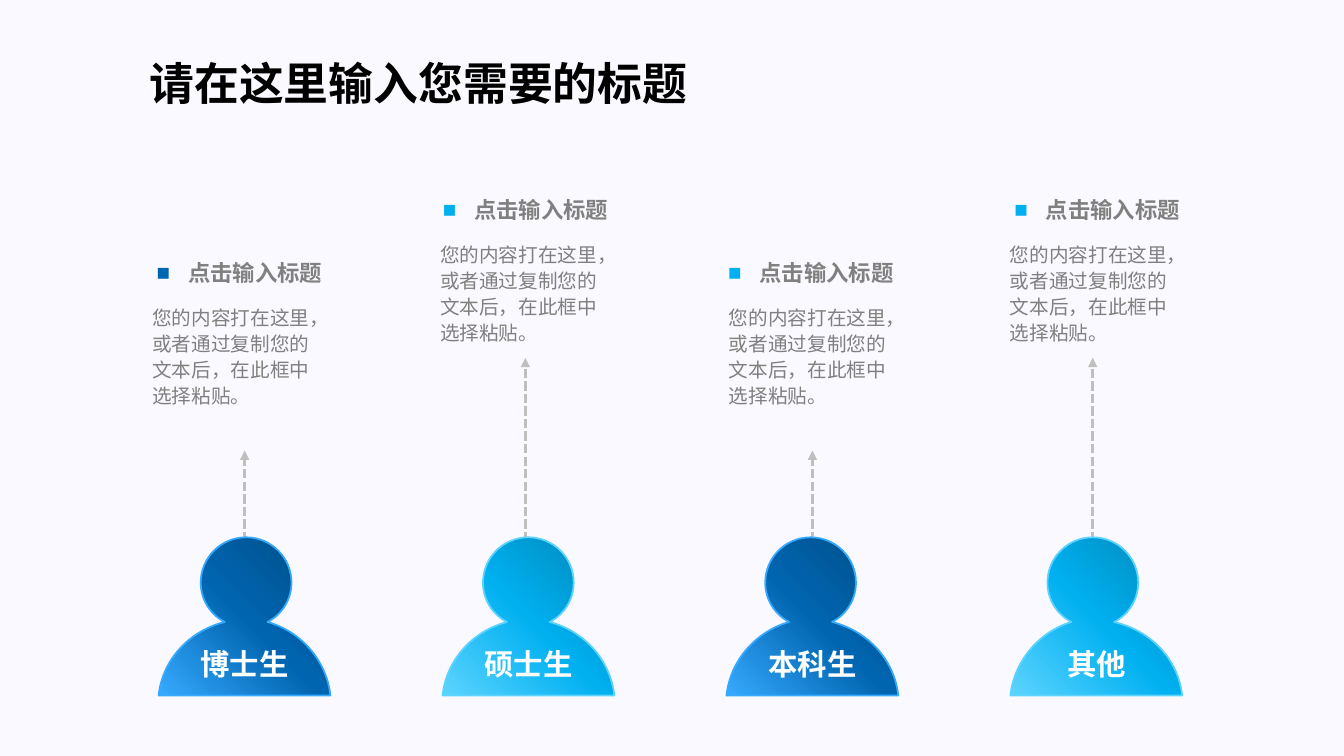
from lxml import etree
from pptx import Presentation
from pptx.dml.color import RGBColor
from pptx.enum.dml import MSO_LINE
from pptx.enum.shapes import MSO_CONNECTOR
from pptx.enum.text import MSO_ANCHOR as Anchor, PP_ALIGN as Align
from pptx.oxml.ns import qn
from pptx.util import Pt

BODY_FONT, TITLE_FONT = "Arial", "Noto Sans CJK SC"
GREY, ARROW_GREY = "808080", "BFBFBF"
NAVY = ("37AAFF", "0065B0", "004C84")
SKY = ("5DD4FF", "00B0F0", "0084B4")

TITLE = "请在这里输入您需要的标题"
HEADING = "点击输入标题"
BODY = "您的内容打在这里，或者通过复制您的文本后，在此框中选择粘贴。"

FIGURE_TOP, FIGURE_WIDTH, FIGURE_HEIGHT = 383.8, 122.7, 113
BODY_LEFT, BODY_PITCH = 113.3, 202.8
HEAD_CENTRE, HEAD_PITCH = 175.8, 201.6
LOW, HIGH = (181.4, 321.8), (136.2, 255.6)  # heading top, arrow tip

# label, shades, bullet colour, level, heading left, body left, body width, arrow x
COLUMNS = [
    ("博士生", NAVY, "0065B0", LOW, 98.3, 98, 142.6, 174.8),
    ("硕士生", SKY, "00B0F0", HIGH, 302.7, 303.5, 143.3, 375.3),
    ("本科生", NAVY, "00B0F0", LOW, 506.5, 509.8, 137.5, 580.3),
    ("其他", SKY, "00B0F0", HIGH, 710.9, 710.6, 141.1, 780.5),
]


def rgb(value):
    return RGBColor.from_string(value)


def add_element(parent, tag, **attributes):
    return etree.SubElement(parent, qn(tag), attributes)


def write(frame, text, size, colour, insets, bold=False, font=BODY_FONT):
    """Fill a text frame with one paragraph, and return the paragraph."""
    frame.text = text
    frame.margin_left = frame.margin_right = Pt(insets[0])
    frame.margin_top = frame.margin_bottom = Pt(insets[1])
    paragraph = frame.paragraphs[0]
    run = paragraph.runs[0]
    run.font.size, run.font.bold = Pt(size), bold
    run.font.color.rgb = rgb(colour)
    run.font.name = font
    add_element(run.font._element, "a:ea", typeface=font)
    return paragraph


def add_text(slide, box, *content, **style):
    frame = slide.shapes.add_textbox(*map(Pt, box)).text_frame
    frame.word_wrap = True
    return write(frame, *content, **style)


def add_title(slide, left, top, width, height):
    title = slide.shapes.title
    title.left, title.top, title.width, title.height = map(Pt, (left, top, width, height))
    frame = title.text_frame
    paragraph = write(frame, TITLE, 32, "000000", (7.2, 3.6), bold=True, font=TITLE_FONT)
    paragraph.alignment = Align.LEFT
    paragraph.line_spacing = 1.0
    paragraph.space_before = Pt(0)
    frame.vertical_anchor = Anchor.MIDDLE
    frame.word_wrap = False


def add_bullet(paragraph, colour):
    properties = paragraph._p.get_or_add_pPr()
    properties.set("marL", str(Pt(22.5)))
    properties.set("indent", str(Pt(-22.5)))
    bullet_colour = add_element(properties, "a:buClr")
    add_element(bullet_colour, "a:srgbClr", val=colour)
    add_element(properties, "a:buFont", typeface="Arial")
    add_element(properties, "a:buChar", char="■")


def add_note(slide, heading_left, body_left, body_width, top, bullet_colour):
    heading = add_text(slide, (heading_left, top, 162.7, 32.4),
                       HEADING, 16, GREY, (13.6, 0), bold=True)
    heading.line_spacing = 1.2
    add_bullet(heading, bullet_colour)
    body = add_text(slide, (body_left, top + 30.2, body_width, 88.6),
                    BODY, 14, GREY, (10.8, 5.4))
    body.line_spacing = 1.1


def add_arrow(slide, x, bottom, tip):
    arrow = slide.shapes.add_connector(
        MSO_CONNECTOR.STRAIGHT, Pt(x), Pt(bottom), Pt(x), Pt(tip))
    arrow.line.color.rgb = rgb(ARROW_GREY)
    arrow.line.width = Pt(2.25)
    arrow.line.dash_style = MSO_LINE.SQUARE_DOT
    line = arrow.line._get_or_add_ln()
    add_element(line, "a:headEnd", type="diamond")
    add_element(line, "a:tailEnd", type="triangle")
    add_element(arrow._element.spPr, "a:effectLst")


def fill_gradient(shape, shades):
    shape.fill.gradient()
    shape.fill.gradient_angle = 45
    stops = shape._element.spPr.find(qn("a:gradFill")).find(qn("a:gsLst"))
    for stop in list(stops):
        stops.remove(stop)
    for position, shade in zip((0, 50000, 100000), shades):
        stop = add_element(stops, "a:gs", pos=str(position))
        add_element(stop, "a:srgbClr", val=shade)


def person_outline(head):
    """Segments from the crown clockwise, each as its control points and its end."""
    right, base = FIGURE_WIDTH, FIGURE_HEIGHT
    return [
        [(head + 17.9, 0), (head + 32.4, 14.5), (head + 32.4, 32.4)],
        [(head + 32.4, 44.6), (head + 25.5, 55.2), (head + 15.3, 60.5)],
        [(right - 21.5, 67), (right - 2.7, 87.6), (right, base)],
        [(0, base)],
        [(2.7, 87.6), (21.5, 67), (head - 15.3, 60.5)],
        [(head - 25.5, 55.2), (head - 32.4, 44.6), (head - 32.4, 32.4)],
        [(head - 32.4, 14.5), (head - 17.9, 0), (head, 0)],
    ]


def add_person(slide, left, top, head_x, label, shades):
    outline = person_outline(head_x - left)
    ends = [(Pt(left + x), Pt(top + y)) for *_, (x, y) in outline]
    builder = slide.shapes.build_freeform(*ends[-1])
    builder.add_line_segments(ends, close=True)
    person = builder.convert_to_shape()
    person.shadow.inherit = False
    segments = list(person._element.iter(qn("a:lnTo")))
    for segment, (*controls, _) in zip(segments, outline):
        if controls:
            curve = etree.Element(qn("a:cubicBezTo"))
            for x, y in controls:
                add_element(curve, "a:pt", x=str(Pt(x)), y=str(Pt(y)))
            curve.append(segment[0])
            segment.getparent().replace(segment, curve)
    fill_gradient(person, shades)
    person.line.color.rgb = rgb(shades[0])
    person.line.width = Pt(1.25)
    name = add_text(slide, (left + 6.8, top + 74.2, 109.4, 32.4),
                    label, 21, "FFFFFF", (7.2, 3.6), bold=True)
    name.alignment = Align.CENTER


def main():
    deck = Presentation()
    deck.slide_width, deck.slide_height = Pt(960), Pt(540)
    slide = deck.slides.add_slide(deck.slide_layouts[5])
    slide.background.fill.solid()
    slide.background.fill.fore_color.rgb = rgb("FAF9FF")

    add_title(slide, 99.6, 36, 402.5, 46)
    for index, column in enumerate(COLUMNS):
        label, shades, bullet, level, heading_left, body_left, body_width, arrow_x = column
        top, tip = level
        add_arrow(slide, arrow_x, FIGURE_TOP + 5.7, tip)
        add_note(slide, heading_left, body_left, body_width, top, bullet)
        add_person(slide, BODY_LEFT + index * BODY_PITCH, FIGURE_TOP,
                   HEAD_CENTRE + index * HEAD_PITCH, label, shades)
    deck.save("out.pptx")


if __name__ == "__main__":
    main()
